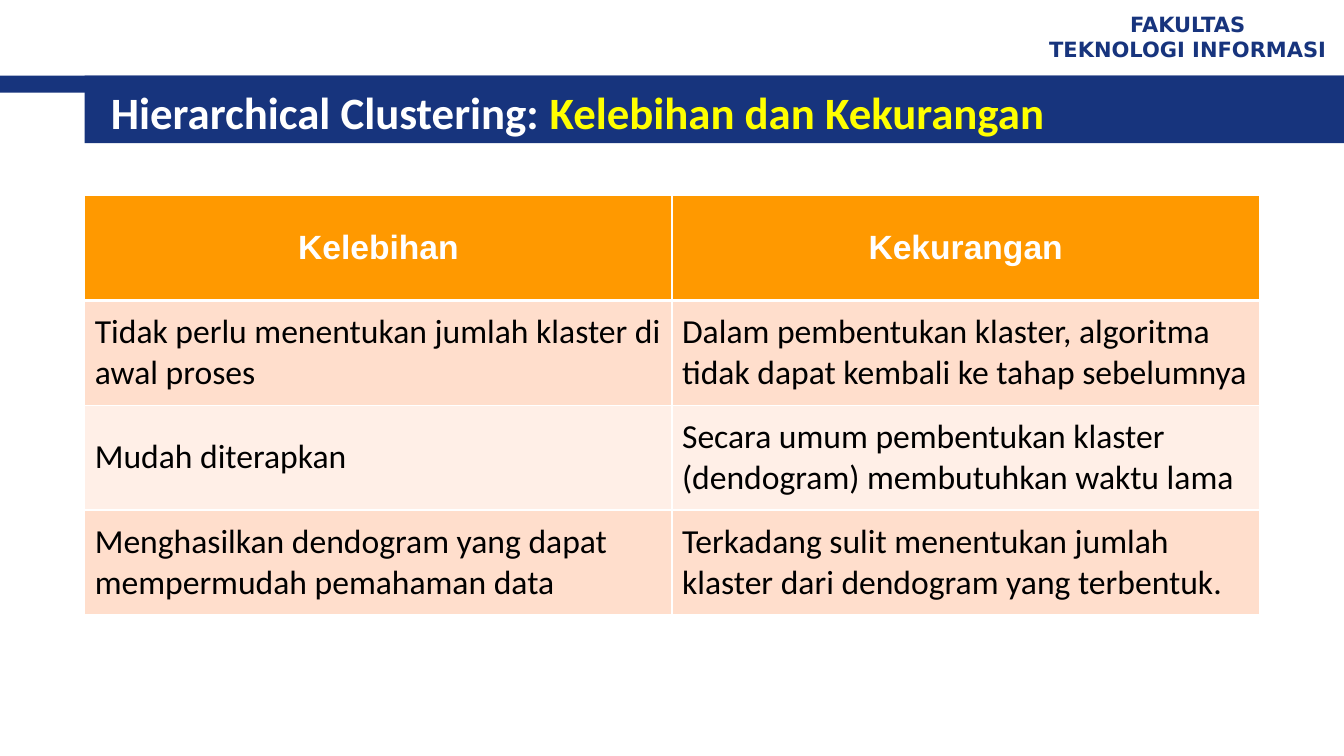
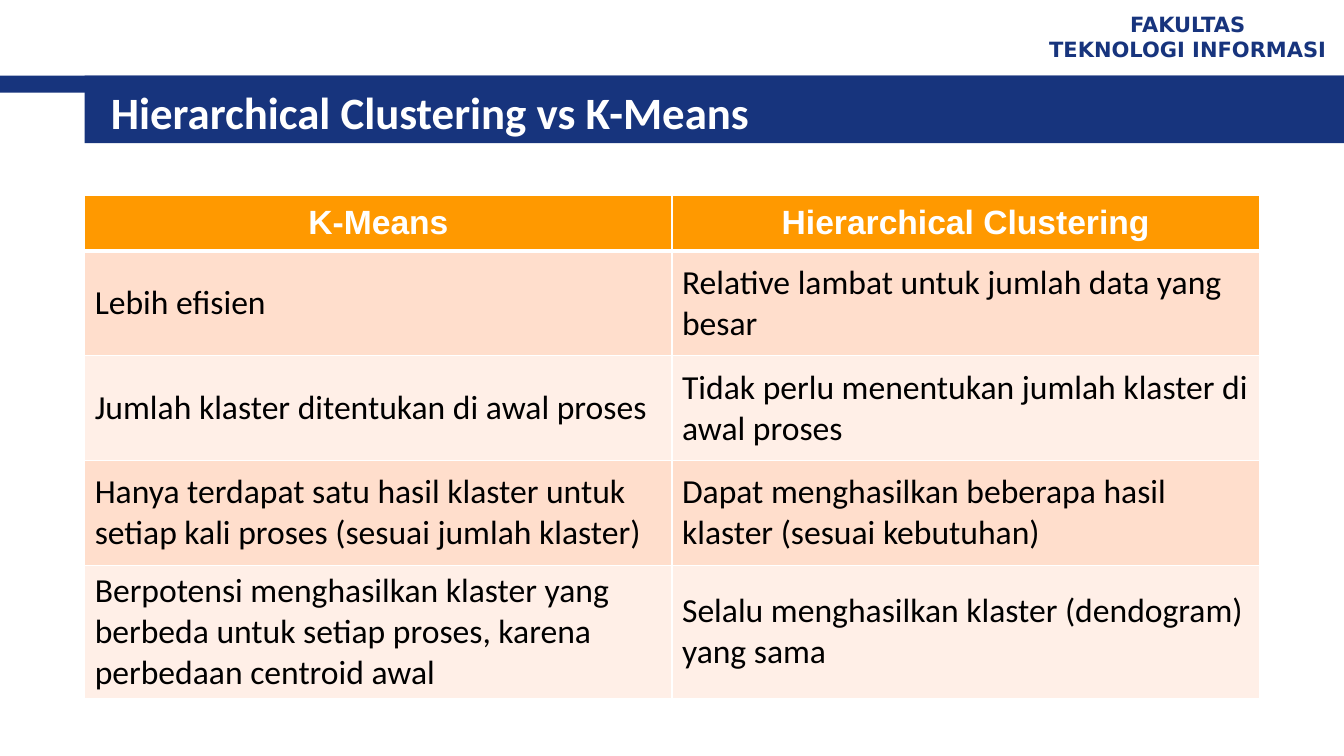
"""Build two slides that compare clustering methods in two-column tables."""
from dataclasses import dataclass

from lxml import etree
from pptx import Presentation
from pptx.dml.color import RGBColor
from pptx.enum.shapes import MSO_SHAPE
from pptx.enum.text import MSO_ANCHOR, MSO_AUTO_SIZE, PP_ALIGN
from pptx.oxml.ns import qn
from pptx.util import Inches, Pt

RECTANGLE = MSO_SHAPE.RECTANGLE
MIDDLE = MSO_ANCHOR.MIDDLE
NO_AUTOFIT = MSO_AUTO_SIZE.NONE
LEFT, CENTER = PP_ALIGN.LEFT, PP_ALIGN.CENTER

SLIDES = [
    {
        "title": [("Hierarchical Clustering: ", "white"),
                  ("Kelebihan dan Kekurangan", "yellow")],
        "row_heights": [1.04] * 4,
        "rows": [
            ("Kelebihan", "Kekurangan"),
            ("Tidak perlu menentukan jumlah klaster di awal proses",
             "Dalam pembentukan klaster, algoritma tidak dapat kembali ke tahap sebelumnya"),
            ("Mudah diterapkan",
             "Secara umum pembentukan klaster (dendogram) membutuhkan waktu lama"),
            ("Menghasilkan dendogram yang dapat mempermudah pemahaman data",
             "Terkadang sulit menentukan jumlah klaster dari dendogram yang terbentuk."),
        ],
    },
    {
        "title": [("Hierarchical Clustering vs K-Means", "white")],
        "row_heights": [0.55, 1.04, 1.04, 1.04, 1.31],
        "rows": [
            ("K-Means", "Hierarchical Clustering"),
            ("Lebih efisien", "Relative lambat untuk jumlah data yang besar"),
            ("Jumlah klaster ditentukan di awal proses",
             "Tidak perlu menentukan jumlah klaster di awal proses"),
            ("Hanya terdapat satu hasil klaster untuk setiap kali proses (sesuai jumlah klaster)",
             "Dapat menghasilkan beberapa hasil klaster (sesuai kebutuhan)"),
            ("Berpotensi menghasilkan klaster yang berbeda untuk setiap proses, "
             "karena perbedaan centroid awal",
             "Selalu menghasilkan klaster (dendogram) yang sama"),
        ],
    },
]
FACULTY = ["FAKULTAS", "TEKNOLOGI INFORMASI"]


@dataclass(frozen=True)
class Theme:
    """Hold the colours, type styles and measures of the deck."""
    white: str = "FFFFFF"
    yellow: str = "FFFF00"
    black: str = "000000"
    navy: str = "17347D"
    orange: str = "FF9900"
    bands: tuple = ("FFDECC", "FFEFE7")
    title: tuple = ("Calibri", 32, True)
    faculty: tuple = ("DejaVu Sans", 15, True)
    header: tuple = ("Arial", 24, True)
    body: tuple = ("Calibri", 24, False)
    thin: int = 1
    thick: int = 3
    width: float = 13.33
    height: float = 7.5
    margin: float = 0.84
    band_top: float = 0.75
    table_top: float = 1.94


THEME = Theme()


def place(shape, left, top, width, height):
    """Set a shape's box in inches."""
    box = {"left": left, "top": top, "width": width, "height": height}
    for name, value in box.items():
        setattr(shape, name, Inches(value))


def write(paragraph, text, style, color, alignment=LEFT):
    """Add one formatted run to a paragraph."""
    paragraph.alignment = alignment
    run = paragraph.add_run()
    run.text = text
    name, size, bold = style
    for attribute, value in {"name": name, "size": Pt(size), "bold": bold}.items():
        setattr(run.font, attribute, value)
    run.font.color.rgb = RGBColor.from_string(color)


def format_frame(frame):
    """Wrap a text frame and centre it vertically."""
    settings = {"word_wrap": True, "auto_size": NO_AUTOFIT, "vertical_anchor": MIDDLE}
    for name, value in settings.items():
        setattr(frame, name, value)


def move_to_layout(shapes, layout):
    """Move shapes behind the layout's placeholders."""
    tree = layout.shapes.element
    for index, shape in enumerate(shapes):
        shape.element.nvSpPr.cNvPr.set("id", str(100 + index))
        tree.insert(2 + index, shape.element)


def build_layout(slide, layout):
    """Give the layout its bands, faculty name and title style."""
    bands = [(0, 0.17), (THEME.margin, 0.67)]
    shapes = []
    for left, height in bands:
        band = slide.shapes.add_shape(
            RECTANGLE, Inches(left), Inches(THEME.band_top),
            Inches(THEME.width - left), Inches(height))
        band.shadow.inherit = False
        band.fill.solid()
        band.fill.fore_color.rgb = RGBColor.from_string(THEME.navy)
        band.line.fill.background()
        shapes.append(band)

    label = slide.shapes.add_textbox(0, 0, 0, 0)
    place(label, 10.23, 0.05, 3.1, 0.62)
    frame = label.text_frame
    format_frame(frame)
    for index, line in enumerate(FACULTY):
        paragraph = frame.add_paragraph() if index else frame.paragraphs[0]
        write(paragraph, line, THEME.faculty, THEME.navy, CENTER)
    move_to_layout(shapes + [label], layout)

    title = layout.placeholders[0]
    place(title, 1, 0.8, 11.89, 0.62)
    format_frame(title.text_frame)


def add_borders(cell, row):
    """Draw white cell borders, thick between header and body."""
    properties = cell._tc.get_or_add_tcPr()
    widths = {
        "a:lnL": THEME.thin,
        "a:lnR": THEME.thin,
        "a:lnT": THEME.thick if row == 1 else THEME.thin,
        "a:lnB": THEME.thick if row == 0 else THEME.thin,
    }
    for tag, width in widths.items():
        line = etree.SubElement(properties, qn(tag), w=str(Pt(width)))
        fill = etree.SubElement(line, qn("a:solidFill"))
        etree.SubElement(fill, qn("a:srgbClr"), val=THEME.white)


def add_comparison(slide, rows, row_heights):
    """Add a two-column table with equal columns."""
    columns = len(rows[0])
    width = THEME.width - 2 * THEME.margin
    table = slide.shapes.add_table(
        len(rows), columns, Inches(THEME.margin), Inches(THEME.table_top),
        Inches(width), Inches(sum(row_heights))).table
    for column in table.columns:
        column.width = Inches(width / columns)
    for row, (texts, height) in enumerate(zip(rows, row_heights)):
        table.rows[row].height = Inches(height)
        if row == 0:
            fill, text_format = THEME.orange, (THEME.header, THEME.white, CENTER)
        else:
            fill = THEME.bands[(row - 1) % 2]
            text_format = (THEME.body, THEME.black, LEFT)
        for column, text in enumerate(texts):
            cell = table.cell(row, column)
            add_borders(cell, row)
            cell.fill.solid()
            cell.fill.fore_color.rgb = RGBColor.from_string(fill)
            cell.vertical_anchor = MIDDLE
            write(cell.text_frame.paragraphs[0], text, *text_format)


def main():
    """Build and save the presentation."""
    presentation = Presentation()
    presentation.slide_width = Inches(THEME.width)
    presentation.slide_height = Inches(THEME.height)
    layout = presentation.slide_layouts.get_by_name("Title Only")
    for index, content in enumerate(SLIDES):
        slide = presentation.slides.add_slide(layout)
        if index == 0:
            build_layout(slide, layout)
        paragraph = slide.shapes.title.text_frame.paragraphs[0]
        for text, color in content["title"]:
            write(paragraph, text, THEME.title, getattr(THEME, color))
        add_comparison(slide, content["rows"], content["row_heights"])
    presentation.save("out.pptx")


if __name__ == "__main__":
    main()
